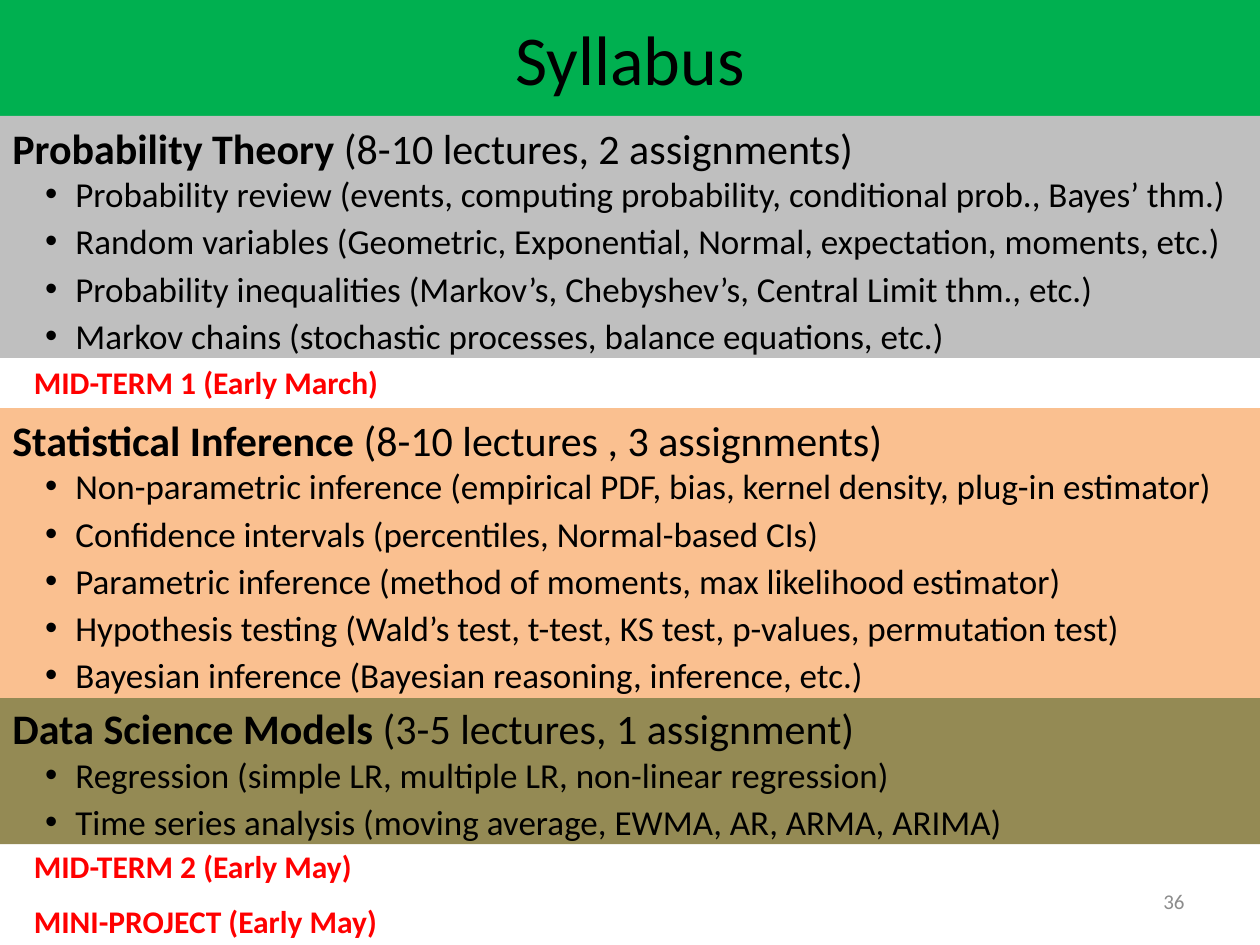
from lxml.etree import SubElement
from pptx import Presentation
from pptx.dml.color import RGBColor
from pptx.enum.shapes import MSO_SHAPE
from pptx.enum.text import MSO_ANCHOR, PP_ALIGN
from pptx.oxml.ns import qn
from pptx.util import Inches, Pt

GREEN = RGBColor(0x00, 0xB0, 0x50)
GRAY = RGBColor(0xBF, 0xBF, 0xBF)
PEACH = RGBColor(0xFA, 0xC0, 0x90)
OLIVE = RGBColor(0x94, 0x8A, 0x54)
BLACK = RGBColor(0x00, 0x00, 0x00)
RED = RGBColor(0xFF, 0x00, 0x00)
NUMBER_GRAY = RGBColor(0x8C, 0x8C, 0x8C)

WIDTH = 10

UNITS = [
    (0.92, 1.92, GRAY, "Probability Theory", " (8-10 lectures, 2 assignments)", [
        "Probability review (events, computing probability, conditional prob., Bayes’ thm.)",
        "Random variables (Geometric, Exponential, Normal, expectation, moments, etc.)",
        "Probability inequalities (Markov’s, Chebyshev’s, Central Limit thm., etc.)",
        "Markov chains (stochastic processes, balance equations, etc.)",
    ]),
    (3.24, 2.3, PEACH, "Statistical Inference", " (8-10 lectures , 3 assignments)", [
        "Non-parametric inference (empirical PDF, bias, kernel density, plug-in estimator)",
        "Confidence intervals (percentiles, Normal-based CIs)",
        "Parametric inference (method of moments, max likelihood estimator)",
        "Hypothesis testing (Wald’s test, t-test, KS test, p-values, permutation test)",
        "Bayesian inference (Bayesian reasoning, inference, etc.)",
    ]),
    (5.53, 1.17, OLIVE, "Data Science Models", " (3-5 lectures, 1 assignment)", [
        "Regression (simple LR, multiple LR, non-linear regression)",
        "Time series analysis (moving average, EWMA, AR, ARMA, ARIMA)",
    ]),
]

MILESTONES = [
    (2.83, 3.17, "MID-TERM 1 (Early March)"),
    (6.67, 3.33, "MID-TERM 2 (Early May)"),
    (7.11, 4.42, "MINI-PROJECT (Early May)"),
]


def style(paragraph, size, color, bold=None, align=PP_ALIGN.LEFT):
    paragraph.alignment = align
    font = paragraph.font
    font.name = "Calibri"
    font.size = Pt(size)
    font.color.rgb = color
    font.bold = bold


def add_band(slide, top, height, color, anchor):
    band = slide.shapes.add_shape(
        MSO_SHAPE.RECTANGLE, 0, Inches(top), Inches(WIDTH), Inches(height))
    band.shadow.inherit = False
    band.fill.solid()
    band.fill.fore_color.rgb = color
    band.line.fill.background()
    frame = band.text_frame
    frame.word_wrap = True
    frame.vertical_anchor = anchor
    return frame


def add_bullet(paragraph):
    properties = paragraph._p.get_or_add_pPr()
    properties.set("marL", str(Inches(0.5)))
    properties.set("indent", str(Inches(-0.24)))
    SubElement(properties, qn("a:buFont"), typeface="Arial")
    SubElement(properties, qn("a:buChar"), char="•")


def add_title(slide, top, height, title):
    paragraph = add_band(slide, top, height, GREEN, MSO_ANCHOR.MIDDLE).paragraphs[0]
    paragraph.text = title
    style(paragraph, 40, BLACK, align=PP_ALIGN.CENTER)


def add_unit(slide, top, height, color, name, workload, topics):
    frame = add_band(slide, top, height, color, MSO_ANCHOR.TOP)
    heading = frame.paragraphs[0]
    style(heading, 24, BLACK)
    name_run = heading.add_run()
    name_run.text = name
    name_run.font.bold = True
    heading.add_run().text = workload
    for topic in topics:
        paragraph = frame.add_paragraph()
        paragraph.text = topic
        paragraph.level = 1
        style(paragraph, 20, BLACK)
        paragraph.space_after = Pt(3)
        add_bullet(paragraph)


def add_label(slide, left, top, width, text, anchor=MSO_ANCHOR.TOP):
    label = slide.shapes.add_textbox(
        Inches(left), Inches(top), Inches(width), Inches(0.4))
    frame = label.text_frame
    frame.word_wrap = True
    frame.vertical_anchor = anchor
    paragraph = frame.paragraphs[0]
    paragraph.text = text
    return paragraph


def add_milestone(slide, top, width, text):
    style(add_label(slide, 0.17, top, width, text), 18, RED, bold=True)


def add_slide_number(slide, left, top, width, number):
    paragraph = add_label(slide, left, top, width, number, MSO_ANCHOR.MIDDLE)
    style(paragraph, 12, NUMBER_GRAY, align=PP_ALIGN.RIGHT)


def main():
    presentation = Presentation()
    presentation.slide_width = Inches(WIDTH)
    presentation.slide_height = Inches(7.5)
    slide = presentation.slides.add_slide(presentation.slide_layouts[6])
    add_title(slide, 0, 0.92, "Syllabus")
    add_slide_number(slide, 7.17, 6.95, 2.33, "36")
    for unit in reversed(UNITS):
        add_unit(slide, *unit)
    for milestone in MILESTONES:
        add_milestone(slide, *milestone)
    presentation.save("out.pptx")


if __name__ == "__main__":
    main()
